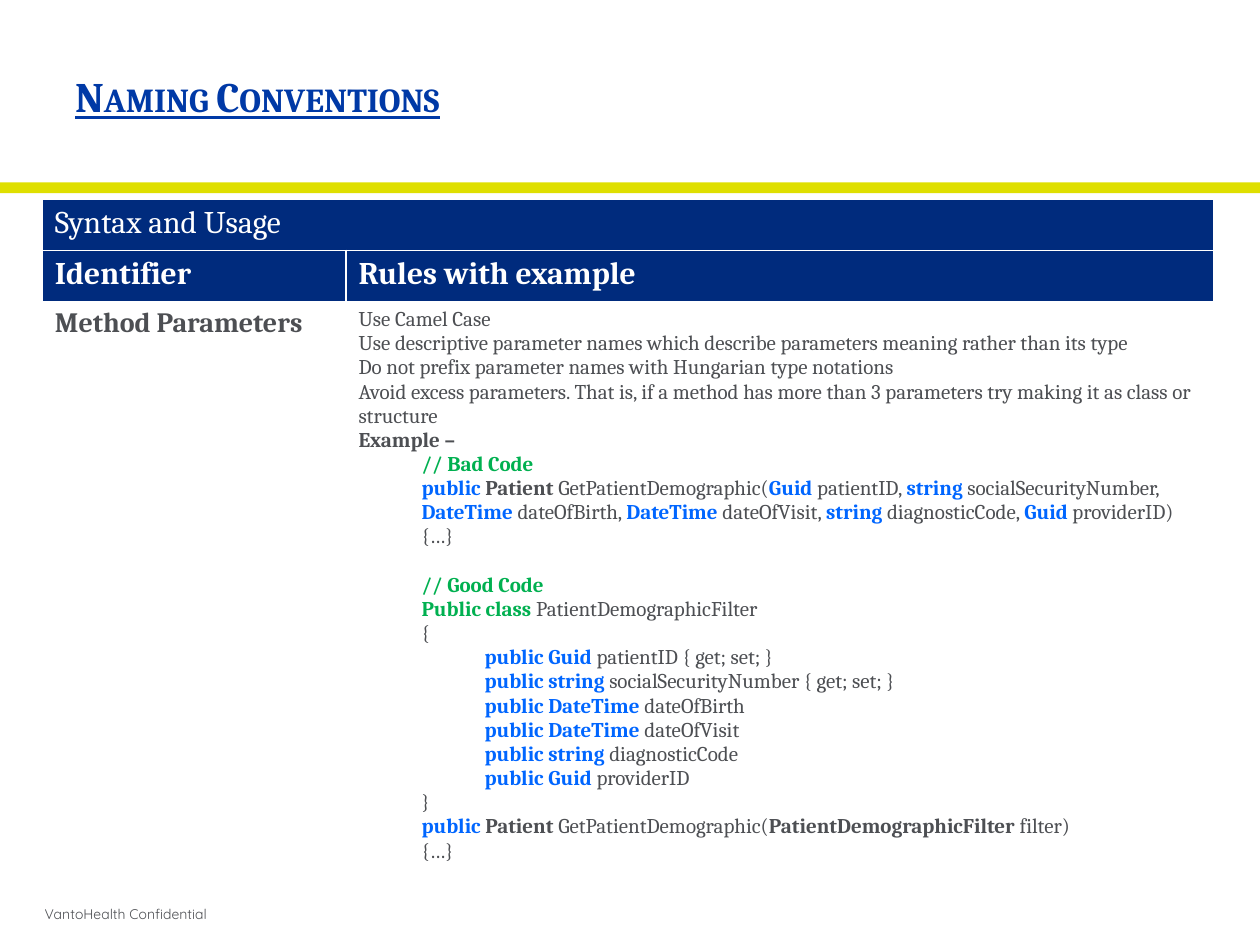
from dataclasses import dataclass

from lxml import etree
from pptx import Presentation
from pptx.dml.color import RGBColor
from pptx.enum import shapes, text
from pptx.oxml import ns
from pptx.util import Pt


@dataclass(frozen=True)
class Theme:
    serif: str = "Cambria"
    sans: str = "Quicksand"
    title: str = "0039A6"
    header: str = "002B7D"
    accent: str = "DFDF00"
    white: str = "FFFFFF"
    ink: str = "4D4F53"
    keyword: str = "0066FF"
    comment: str = "00B050"
    title_size: int = 24
    header_size: int = 18
    label_size: int = 16
    body_size: int = 12
    footer_size: int = 8


THEME = Theme()
INDENT = 36
LINE = 13.8

STYLES = {
    "plain": (THEME.ink, False),
    "strong": (THEME.ink, True),
    "keyword": (THEME.keyword, True),
    "comment": (THEME.comment, True),
}

RULES = [
    "Use Camel Case",
    "Use descriptive parameter names which describe parameters meaning rather than its type",
    "Do not prefix parameter names with Hungarian type notations",
    "Avoid excess parameters. That is, if a method has more than 3 parameters "
    "try making it as class or structure",
]

PARAMETERS = [
    ("Guid", "patientID"),
    ("string", "socialSecurityNumber"),
    ("DateTime", "dateOfBirth"),
    ("DateTime", "dateOfVisit"),
    ("string", "diagnosticCode"),
    ("Guid", "providerID"),
]
WITH_ACCESSORS = {"patientID", "socialSecurityNumber"}


def add_span(para, words, color, size, bold=False, font=THEME.serif):
    span = para.add_run()
    span.text = words
    span.font.name = font
    span.font.size = Pt(size)
    span.font.bold = bold
    span.font.color.rgb = RGBColor.from_string(color)
    return span


def rule_lines():
    signature = [
        ("keyword", "public "),
        ("strong", "Patient "),
        ("plain", "GetPatientDemographic("),
    ]
    arguments = []
    for kind, name in PARAMETERS:
        ending = ")" if name == PARAMETERS[-1][1] else ", "
        arguments += [("keyword", f"{kind} "), ("plain", name + ending)]

    lines = [(0, [("plain", rule)]) for rule in RULES]
    lines += [
        (0, [("strong", "Example –")]),
        (1, [("comment", "// Bad Code")]),
        (1, signature + arguments),
        (1, [("plain", "{…}")]),
        (1, [("comment", "// Good Code")]),
        (1, [("comment", "Public class "), ("plain", "PatientDemographicFilter")]),
        (1, [("plain", "{")]),
    ]
    for kind, name in PARAMETERS:
        accessors = " { get; set; }" if name in WITH_ACCESSORS else ""
        lines.append((2, [("keyword", f"public {kind} "), ("plain", name + accessors)]))
    lines += [
        (1, [("plain", "}")]),
        (1, signature + [("strong", "PatientDemographicFilter"), ("plain", " filter)")]),
        (1, [("plain", "{…}")]),
    ]
    return lines


def fill_rules(frame):
    for index, (level, spans) in enumerate(rule_lines()):
        para = frame.paragraphs[0] if index == 0 else frame.add_paragraph()
        para.level = level
        properties = para._p.get_or_add_pPr()
        properties.set("marL", str(Pt(INDENT * level)))
        properties.set("indent", "0")
        if spans[0][1] == "// Good Code":
            para.space_before = Pt(LINE)
        for style, words in spans:
            color, bold = STYLES[style]
            add_span(para, words, color, THEME.body_size, bold)


def set_borders(cell, color, width):
    properties = cell._tc.get_or_add_tcPr()
    for index, side in enumerate(("lnL", "lnR", "lnT", "lnB")):
        line = etree.Element(ns.qn(f"a:{side}"), w=str(Pt(width)))
        fill = etree.SubElement(line, ns.qn("a:solidFill"))
        etree.SubElement(fill, ns.qn("a:srgbClr"), val=color)
        properties.insert(index, line)


def place_title(page, left, top, width, height):
    title = page.shapes.title
    title.left, title.top, title.width, title.height = map(Pt, (left, top, width, height))
    frame = title.text_frame
    frame.auto_size = text.MSO_AUTO_SIZE.NONE
    frame.vertical_anchor = text.MSO_ANCHOR.TOP
    para = frame.paragraphs[0]
    para.alignment = text.PP_ALIGN.LEFT
    span = add_span(para, "Naming Conventions", THEME.title, THEME.title_size, True)
    span.font.underline = True
    span._r.get_or_add_rPr().set("cap", "small")


def place_band(page, left, top, width, height):
    band = page.shapes.add_shape(
        shapes.MSO_SHAPE.RECTANGLE, *map(Pt, (left, top, width, height))
    )
    band.shadow.inherit = False
    band.fill.solid()
    band.fill.fore_color.rgb = RGBColor.from_string(THEME.accent)
    band.line.fill.background()


def place_table(page, left, top, width, height):
    table = page.shapes.add_table(3, 2, *map(Pt, (left, top, width, height))).table
    label_width, header_height = 173.5, 29.2
    table.columns[0].width = Pt(label_width)
    table.columns[1].width = Pt(width - label_width)
    for row, row_height in zip(
        table.rows, (header_height, header_height, height - 2 * header_height)
    ):
        row.height = Pt(row_height)
    table.cell(0, 0).merge(table.cell(0, 1))

    for index, row in enumerate(table.rows):
        for cell in row.cells:
            if index < 2:
                cell.fill.solid()
                cell.fill.fore_color.rgb = RGBColor.from_string(THEME.header)
            else:
                cell.fill.background()
            set_borders(cell, THEME.white, 1)

    labels = [
        (0, 0, "Syntax and Usage", THEME.white, THEME.header_size, False),
        (1, 0, "Identifier", THEME.white, THEME.header_size, True),
        (1, 1, "Rules with example", THEME.white, THEME.header_size, True),
        (2, 0, "Method Parameters", THEME.ink, THEME.label_size, True),
    ]
    for row, column, *label in labels:
        add_span(table.cell(row, column).text_frame.paragraphs[0], *label)
    fill_rules(table.cell(2, 1).text_frame)


def place_footer(page, left, top, width, height):
    box = page.shapes.add_textbox(*map(Pt, (left, top, width, height)))
    frame = box.text_frame
    frame.word_wrap = True
    frame.vertical_anchor = text.MSO_ANCHOR.MIDDLE
    add_span(frame.paragraphs[0], "VantoHealth Confidential", THEME.ink,
             THEME.footer_size, font=THEME.sans)


def main():
    deck = Presentation()
    deck.slide_width, deck.slide_height = Pt(720), Pt(540)
    page = deck.slides.add_slide(deck.slide_layouts[5])
    place_band(page, 0, 104.2, 720, 6.2)
    place_title(page, 35.7, 36.4, 647.3, 33.8)
    place_table(page, 24.2, 113.8, 669.6, 390)
    place_footer(page, 18.4, 509.8, 685.4, 25.2)
    deck.save("out.pptx")


if __name__ == "__main__":
    main()
